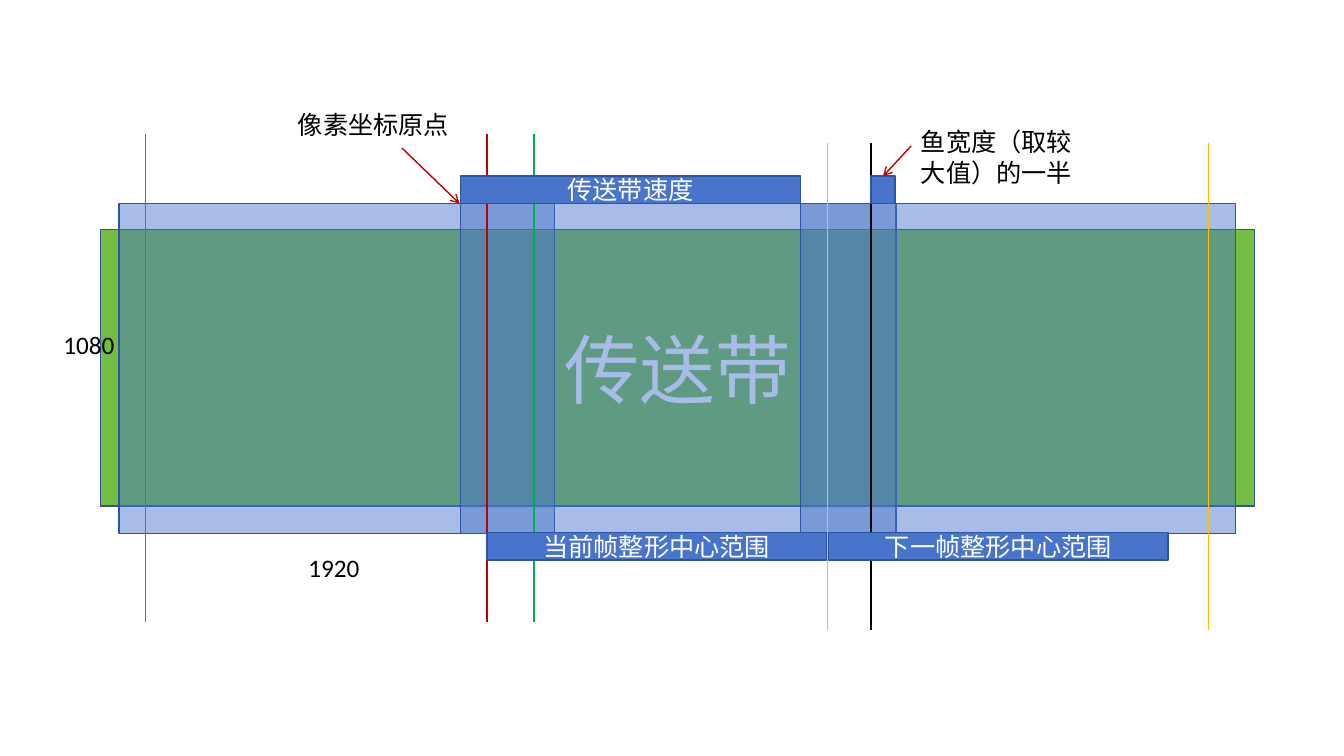
from lxml import etree
from pptx import Presentation
from pptx.dml.color import RGBColor
from pptx.enum.shapes import MSO_CONNECTOR, MSO_SHAPE
from pptx.enum.text import MSO_ANCHOR, PP_ALIGN
from pptx.oxml.ns import qn
from pptx.util import Cm, Pt

RECT, STRAIGHT = MSO_SHAPE.RECTANGLE, MSO_CONNECTOR.STRAIGHT
CENTER, MIDDLE = PP_ALIGN.CENTER, MSO_ANCHOR.MIDDLE

# Content, lengths in cm
FONT = "Calibri"
BLUE, EDGE, BELT_GREEN = "4874CB", "2E54A1", "75BD42"
RED, GREEN, YELLOW, BLACK, WHITE = "C00000", "00B050", "FFC000", "000000", "FFFFFF"

BELT = (2.54, 5.79, 29.08, 6.96)
FRAME_TOP, FRAME_W, FRAME_H = 5.13, 10.97, 8.31
FRAME_LEFTS = [3.0, 11.61, 20.17]
FRAME_ALPHA = 48

BAR_W, BAR_H = 8.56, 0.69
ABOVE, BELOW = FRAME_TOP - BAR_H, FRAME_TOP + FRAME_H - 0.02
BARS = [  # left, top, width, text
    (11.61, ABOVE, BAR_W, "传送带速度"),
    (12.27, BELOW, BAR_W, "当前帧整形中心范围"),
    (20.88, BELOW, BAR_W, "下一帧整形中心范围"),
]
HALF_FISH = (21.95, ABOVE, 0.61, BAR_H)

GUIDE_SPANS = [  # top, bottom, guides as (x, colour)
    (3.38, 15.67, [(12.27, RED), (13.46, GREEN), (3.66, GREEN)]),
    (3.61, 15.88, [(21.95, BLACK), (20.85, YELLOW), (30.45, YELLOW)]),
]
LABELS = [  # left, top, width, height, text
    (7.52, 13.79, 1.93, 1.02, "1920"),
    (1.35, 8.18, 1.93, 1.02, "1080"),
    (7.26, 2.64, 4.5, 1.02, "像素坐标原点"),
    (22.96, 3.07, 4.45, 1.8, "鱼宽度（取较大值）的一半"),
]
ORIGIN_ARROW = (10.13, 3.73, 11.58, FRAME_TOP)
FISH_ARROW = (22.96, 3.68, 22.26, ABOVE)

prs = Presentation()
prs.slide_width, prs.slide_height = Cm(33.87), Cm(19.05)
s = prs.slides.add_slide(prs.slide_layouts[6])


def rgb(value):
    return RGBColor.from_string(value)


def write(tf, text, size, color):
    tf.word_wrap = True
    r = tf.paragraphs[0].add_run()
    r.text = text
    r.font.size, r.font.name = Pt(size), FONT
    r.font.color.rgb = rgb(color)


def add_rect(box, fill, text="", size=18, alpha=None):
    sp = s.shapes.add_shape(RECT, *map(Cm, box))
    sp.shadow.inherit = False
    sp.fill.solid()
    sp.fill.fore_color.rgb = rgb(fill)
    sp.line.color.rgb, sp.line.width = rgb(EDGE), Pt(1)
    if alpha:
        clr = sp.fill._xPr.find(qn("a:solidFill"))[0]
        etree.SubElement(clr, qn("a:alpha"), val=str(alpha * 1000))
    if text:
        tf = sp.text_frame
        tf.vertical_anchor = MIDDLE
        tf.paragraphs[0].alignment = CENTER
        write(tf, text, size, WHITE)
    return sp


def add_line(ends, color, arrow=False):
    cx = s.shapes.add_connector(STRAIGHT, *map(Cm, ends))
    cx.line.color.rgb, cx.line.width = rgb(color), Pt(1)
    if arrow:
        etree.SubElement(cx.line._get_or_add_ln(), qn("a:tailEnd"), type="arrow")
    etree.SubElement(cx._element.spPr, qn("a:effectLst"))
    return cx


# Conveyor belt and overlapping camera frames
add_rect(BELT, BELT_GREEN, "传送带", 54)
for left in FRAME_LEFTS:
    add_rect((left, FRAME_TOP, FRAME_W, FRAME_H), BLUE, alpha=FRAME_ALPHA)

# Vertical guides
for top, bottom, guides in GUIDE_SPANS:
    for x, color in guides:
        add_line((x, top, x, bottom), color)

# Range bars and half fish width
for left, top, width, text in BARS:
    add_rect((left, top, width, BAR_H), BLUE, text)
half_fish = add_rect(HALF_FISH, BLUE)

# Arrows and labels
add_line(ORIGIN_ARROW, RED, arrow=True)
add_line(FISH_ARROW, RED, arrow=True).end_connect(half_fish, 0)
for *box, text in LABELS:
    write(s.shapes.add_textbox(*map(Cm, box)).text_frame, text, 18, BLACK)

prs.save("out.pptx")
